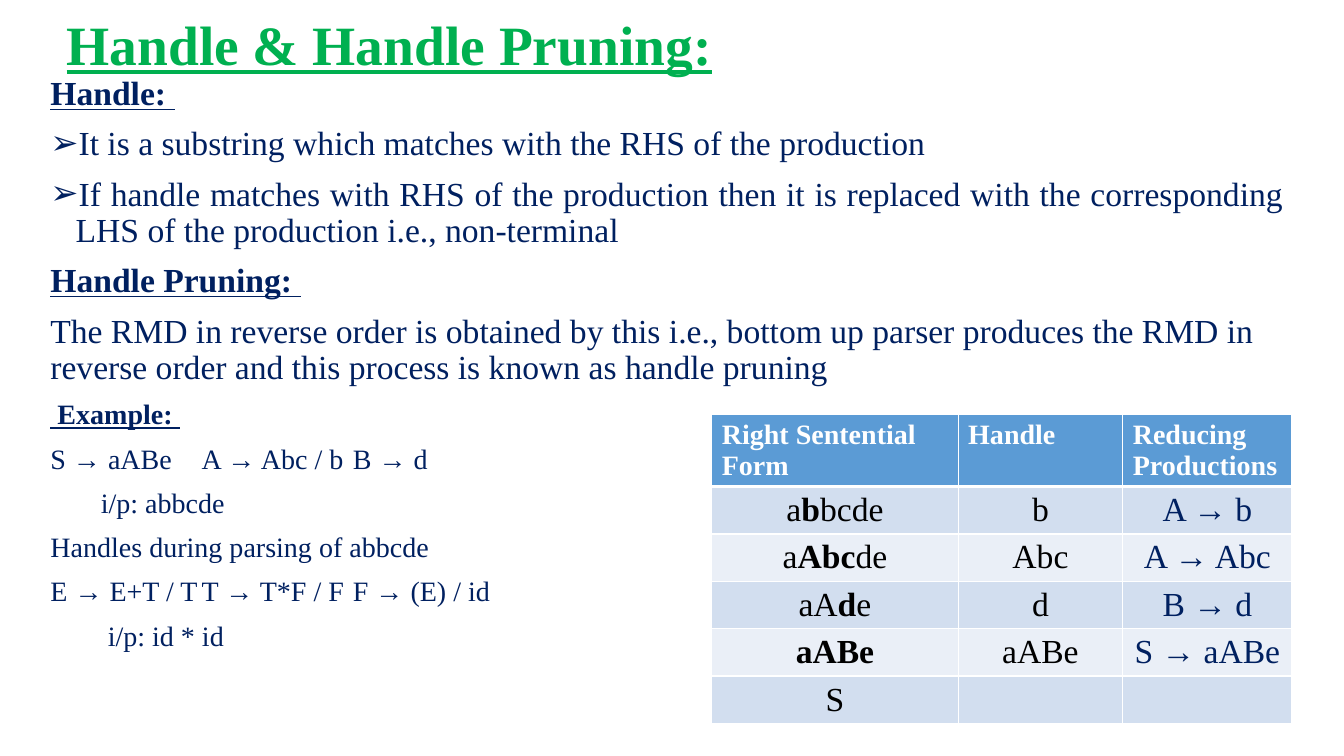
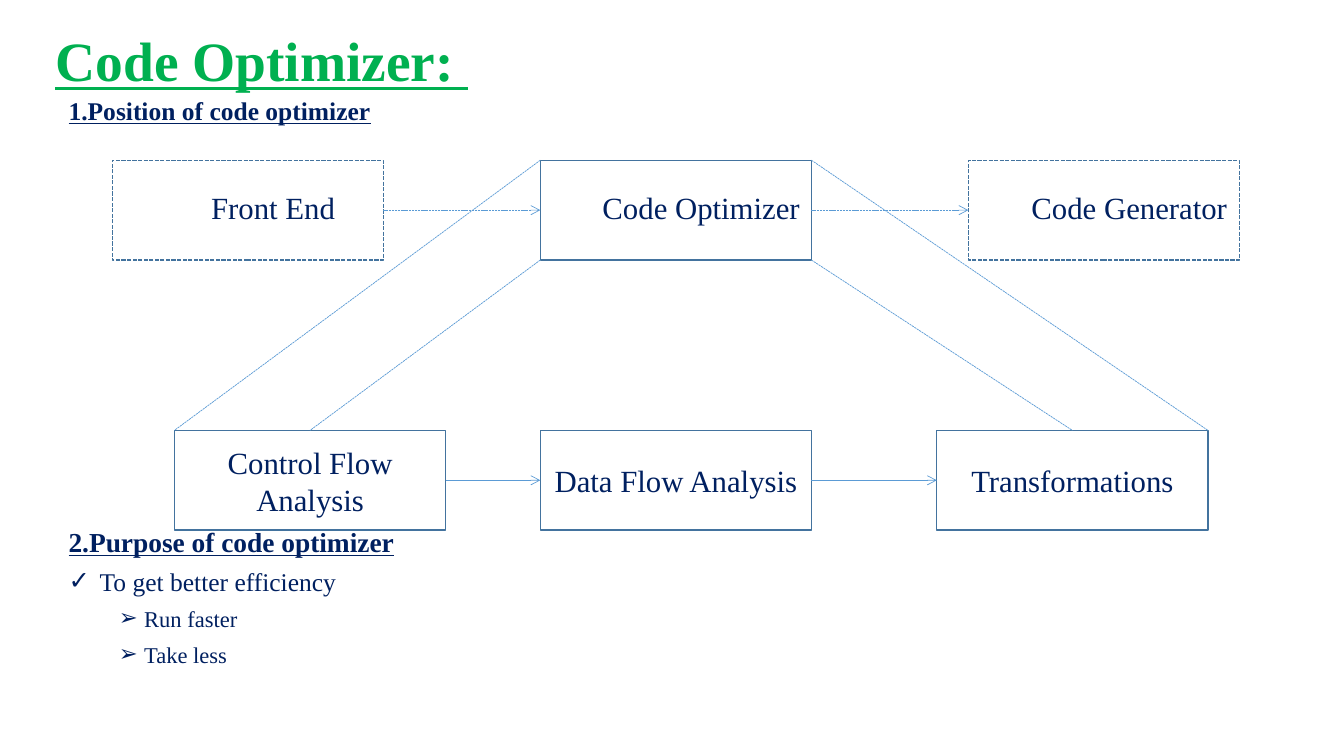
from dataclasses import dataclass

from lxml import etree
from pptx import Presentation
from pptx import util as u
from pptx.dml.color import RGBColor
from pptx.enum import dml, shapes, text
from pptx.oxml import ns

NAVY = RGBColor(0x00, 0x20, 0x60)
GREEN = RGBColor(0x00, 0xB0, 0x50)
BLACK = RGBColor(0x00, 0x00, 0x00)
WHITE = RGBColor(0xFF, 0xFF, 0xFF)
BLUE = RGBColor(0x5B, 0x9B, 0xD5)
OUTLINE = RGBColor(0x43, 0x73, 0x9E)
BANDS = (RGBColor(0xD2, 0xDE, 0xEF), RGBColor(0xEA, 0xEF, 0xF7))
FONT = "Times New Roman"
WIDTH, HEIGHT = u.Inches(13.33), u.Inches(7.5)
HANG = u.Inches(0.25)
LEFT, CENTER, JUSTIFY = text.PP_ALIGN.LEFT, text.PP_ALIGN.CENTER, text.PP_ALIGN.JUSTIFY


def across(percent: float) -> int:
    return round(WIDTH * percent / 100)


def down(percent: float) -> int:
    return round(HEIGHT * percent / 100)


@dataclass(frozen=True)
class Area:
    left: float
    top: float
    width: float
    height: float

    def emu(self) -> tuple:
        return across(self.left), down(self.top), across(self.width), down(self.height)


@dataclass(frozen=True)
class Line:
    words: str
    size: float
    heading: bool = False
    bullet: str = ""
    level: int = 0
    align: text.PP_ALIGN = LEFT
    spacing: float = 0.9
    before: float = 10


@dataclass(frozen=True)
class Stage:
    label: str
    left: float
    top: float
    indented: bool = False
    dashed: bool = False


def add_run(paragraph, words: str, size: float, color: RGBColor = NAVY,
            bold: bool = False, underline: bool = False) -> None:
    run = paragraph.add_run()
    run.text = words
    font = run.font
    font.name, font.size, font.bold, font.underline = FONT, u.Pt(size), bold, underline
    font.color.rgb = color


def set_indent(paragraph, margin: int, first: int) -> None:
    properties = paragraph._p.get_or_add_pPr()
    properties.set("marL", str(margin))
    properties.set("indent", str(first))


def set_bullet(paragraph, bullet: str) -> None:
    properties = paragraph._p.get_or_add_pPr()
    if bullet:
        etree.SubElement(properties, ns.qn("a:buChar"), char=bullet)
    else:
        etree.SubElement(properties, ns.qn("a:buNone"))


def place(placeholder, area: Area, anchor: text.MSO_ANCHOR):
    placeholder.left, placeholder.top, placeholder.width, placeholder.height = area.emu()
    frame = placeholder.text_frame
    frame.auto_size = text.MSO_AUTO_SIZE.NONE
    frame.word_wrap = True
    frame.vertical_anchor = anchor
    return frame


def add_slide(deck, title: str, title_area: Area, body_area: Area, lines: list):
    slide = deck.slides.add_slide(deck.slide_layouts[1])
    heading = place(slide.shapes.title, title_area, text.MSO_ANCHOR.MIDDLE).paragraphs[0]
    heading.alignment = LEFT
    heading.line_spacing = 0.9
    add_run(heading, title, 39.6, GREEN, bold=True, underline=True)
    body = place(slide.placeholders[1], body_area, text.MSO_ANCHOR.TOP)
    for index, line in enumerate(lines):
        paragraph = body.add_paragraph() if index else body.paragraphs[0]
        paragraph.level = line.level
        paragraph.alignment = line.align
        paragraph.line_spacing = line.spacing
        paragraph.space_before = u.Pt(line.before if index else 0)
        paragraph.space_after = u.Pt(0)
        margin = HANG * (1 + 2 * line.level) if line.bullet else 0
        set_indent(paragraph, margin, -HANG if line.bullet else 0)
        set_bullet(paragraph, line.bullet)
        add_run(paragraph, line.words, line.size, bold=line.heading, underline=line.heading)
    return slide


def set_borders(cell, row: int) -> None:
    properties = cell._tc.get_or_add_tcPr()
    widths = {"L": 1, "R": 1, "T": 3 if row == 1 else 1, "B": 3 if row == 0 else 1}
    for side, points in widths.items():
        border = etree.SubElement(properties, ns.qn(f"a:ln{side}"), w=str(u.Pt(points)))
        fill = etree.SubElement(border, ns.qn("a:solidFill"))
        etree.SubElement(fill, ns.qn("a:srgbClr"), val=str(WHITE))


def add_handle_table(slide) -> None:
    headers = ("Right Sentential Form", "Handle", "Reducing Productions")
    steps = [
        (("a", "b", "bcde"), "b", "A → b"),
        (("a", "Abc", "de"), "Abc", "A → Abc"),
        (("aA", "d", "e"), "d", "B → d"),
        (("", "aABe", ""), "aABe", "S → aABe"),
        (("S", "", ""), "", ""),
    ]
    columns, header_row, step_row = (18.33, 12.25, 12.6), 9.47, 6.27
    area = Area(52.96, 54.8, sum(columns), header_row + step_row * len(steps))
    table = slide.shapes.add_table(len(steps) + 1, len(columns), *area.emu()).table
    for column, share in zip(table.columns, columns):
        column.width = across(share)
    for index, row in enumerate(table.rows):
        row.height = down(step_row if index else header_row)
        for cell in row.cells:
            set_borders(cell, index)
            cell.fill.solid()
            cell.fill.fore_color.rgb = BANDS[(index - 1) % 2] if index else BLUE
    for column, header in enumerate(headers):
        add_run(table.cell(0, column).text_frame.paragraphs[0], header, 20, WHITE, bold=True)
    for row, (form, handle, production) in enumerate(steps, 1):
        marked = [(part, BLACK, place == 1) for place, part in enumerate(form)]
        contents = (marked, [(handle, BLACK, False)], [(production, NAVY, False)])
        for column, parts in enumerate(contents):
            paragraph = table.cell(row, column).text_frame.paragraphs[0]
            paragraph.alignment = CENTER
            for words, color, bold in parts:
                if words:
                    add_run(paragraph, words, 24, color, bold)


BOX_WIDTH, BOX_HEIGHT = 20.18, 13.2
UPPER, LOWER = 21.2, 56.93
MIDDLE, STEP = 40.2, 31.85


def add_stage(slide, stage: Stage):
    area = Area(stage.left, stage.top, BOX_WIDTH, BOX_HEIGHT)
    box = slide.shapes.add_shape(shapes.MSO_SHAPE.RECTANGLE, *area.emu())
    box.shadow.inherit = False
    box.fill.background()
    box.line.color.rgb = OUTLINE
    box.line.width = u.Pt(1)
    if stage.dashed:
        box.line.dash_style = dml.MSO_LINE.SQUARE_DOT
    box.text_frame.word_wrap = True
    box.text_frame.vertical_anchor = text.MSO_ANCHOR.MIDDLE
    paragraph = box.text_frame.paragraphs[0]
    paragraph.alignment = CENTER
    if stage.indented:
        paragraph.line_spacing = 0.8
        set_indent(paragraph, 3 * HANG, -HANG)
    add_run(paragraph, stage.label, 22)
    return box


def add_link(slide, start: tuple, end: tuple, dashed: bool = True, arrow: bool = False):
    link = slide.shapes.add_connector(
        shapes.MSO_CONNECTOR.STRAIGHT,
        across(start[0]), down(start[1]), across(end[0]), down(end[1]))
    link.line.color.rgb = BLUE
    link.line.width = u.Pt(0.5)
    if dashed:
        link.line.dash_style = dml.MSO_LINE.SQUARE_DOT
    if arrow:
        etree.SubElement(link.line._get_or_add_ln(), ns.qn("a:tailEnd"), type="arrow")
    etree.SubElement(link._element.spPr, ns.qn("a:effectLst"))
    return link


def add_optimizer_diagram(slide) -> None:
    upper = [
        Stage("Front End", MIDDLE - STEP, UPPER, indented=True, dashed=True),
        Stage("Code Optimizer", MIDDLE, UPPER, indented=True),
        Stage("Code Generator", MIDDLE + STEP, UPPER, indented=True, dashed=True),
    ]
    lower = [
        Stage("Control Flow Analysis", 12.98, LOWER),
        Stage("Data Flow Analysis", MIDDLE, LOWER),
        Stage("Transformations", 69.7, LOWER),
    ]
    for stages, dashed in ((lower, False), (upper, True)):
        boxes = [add_stage(slide, stage) for stage in stages]
        level = stages[0].top + BOX_HEIGHT / 2
        for index in range(len(stages) - 1):
            link = add_link(slide, (stages[index].left + BOX_WIDTH, level),
                            (stages[index + 1].left, level), dashed, arrow=True)
            link.begin_connect(boxes[index], 3)
            link.end_connect(boxes[index + 1], 1)
    first, last = lower[0].left, lower[-1].left
    edges = ((MIDDLE, first, first), (MIDDLE + BOX_WIDTH, last + BOX_WIDTH, last))
    for corner, outer, inner in edges:
        add_link(slide, (corner, UPPER), (outer, LOWER))
        add_link(slide, (corner, UPPER + BOX_HEIGHT), (inner + BOX_WIDTH / 2, LOWER))


def main() -> None:
    deck = Presentation()
    deck.slide_width, deck.slide_height = WIDTH, HEIGHT
    handles = add_slide(
        deck, "Handle & Handle Pruning:",
        Area(4.2, 2.53, 88.9, 7.6), Area(3, 9.47, 93.25, 90.53), [
            Line("Handle: ", 24, heading=True, align=JUSTIFY),
            Line("It is a substring which matches with the RHS of the production",
                 24, bullet="➢", align=JUSTIFY),
            Line("If handle matches with RHS of the production then it is replaced with "
                 "the corresponding LHS of the production i.e., non-terminal",
                 24, bullet="➢", align=JUSTIFY),
            Line("Handle Pruning: ", 24, heading=True, align=JUSTIFY),
            Line("The RMD in reverse order is obtained by this i.e., bottom up parser produces "
                 "the RMD in reverse order and this process is known as handle pruning", 24),
            Line(" Example: ", 20, heading=True, align=JUSTIFY),
            Line("S → aABe\tA → Abc / b\tB → d", 20),
            Line("\ti/p: abbcde", 20),
            Line("Handles during parsing of abbcde", 20),
            Line("E → E+T / T\tT → T*F / F\tF → (E) / id", 20),
            Line("\t i/p: id * id", 20),
        ])
    add_handle_table(handles)
    optimizer = add_slide(
        deck, "Code Optimizer: ",
        Area(3.38, 3.6, 89.1, 9.73), Area(4.35, 13.07, 92.35, 80.93), [
            Line("1.Position of code optimizer", 18.2, heading=True, spacing=0.7),
            Line("2.Purpose of code optimizer", 19.6, heading=True, spacing=0.8, before=290),
            Line(" To get better efficiency", 18.2, bullet="✓", spacing=0.8),
            Line("Run faster", 16.1, bullet="➢", level=1, spacing=0.8),
            Line("Take less", 16.1, bullet="➢", level=1, spacing=0.8),
        ])
    add_optimizer_diagram(optimizer)
    deck.save("out.pptx")


if __name__ == "__main__":
    main()
